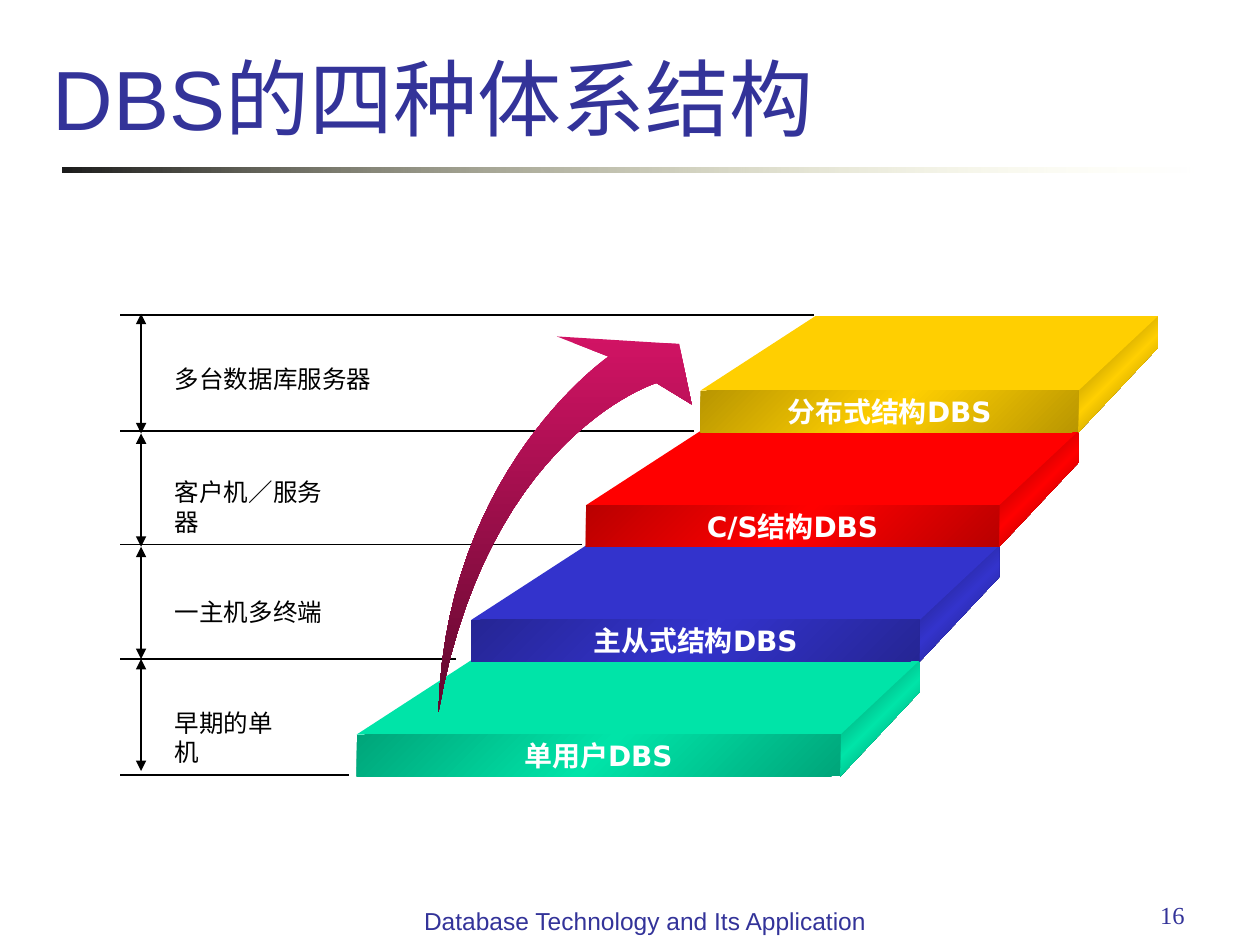
from lxml.etree import SubElement
from pptx import Presentation
from pptx.dml.color import RGBColor
from pptx.enum.shapes import MSO_CONNECTOR, MSO_SHAPE
from pptx.enum.text import MSO_ANCHOR, PP_ALIGN
from pptx.oxml.ns import qn
from pptx.util import Inches, Pt

NAVY = RGBColor(0x33, 0x33, 0x99)
BLACK = RGBColor(0, 0, 0)
WHITE = RGBColor(0xFF, 0xFF, 0xFF)
RULE_DARK = RGBColor(0x1C, 0x1C, 0x1C)
RULE_PALE = RGBColor(0xFF, 0xFF, 0xB7)
PINK = RGBColor(0xD1, 0x13, 0x64)
WINE = RGBColor(0x61, 0x09, 0x2E)

TITLE = "DBS的四种体系结构"
FOOTER = "Database Technology and Its Application"
PAGE_NUMBER = "16"

TIERS = [
    ("单用户DBS", RGBColor(0x00, 0xE4, 0xA8), RGBColor(0x00, 0xA5, 0x7A), RGBColor(0x00, 0x6A, 0x4E)),
    ("主从式结构DBS", RGBColor(0x33, 0x33, 0xCC), RGBColor(0x25, 0x25, 0x94), RGBColor(0x18, 0x18, 0x5E)),
    ("C/S结构DBS", RGBColor(0xFF, 0x00, 0x00), RGBColor(0xB9, 0x00, 0x00), RGBColor(0x76, 0x00, 0x00)),
    ("分布式结构DBS", RGBColor(0xFF, 0xCF, 0x01), RGBColor(0xB9, 0x96, 0x01), RGBColor(0x76, 0x60, 0x00)),
]
LEVELS = [
    ("多台数据库服务器", 2.84, 1.76),
    ("客户机／服务器", 3.74, 1.56),
    ("一主机多终端", 4.69, 1.37),
    ("早期的单机", 5.57, 1.17),
]
LEVEL_LINES = [(6.46, 2.5), (5.51, 3.42), (4.62, 4.32), (3.62, 5.23), (2.77, 6.15)]
SPAN_ENDS = [2.49, 3.44, 4.34, 5.23, 6.12]

FRONT_LEFT, FRONT_RIGHT, TOP = 2.83, 6.67, 5.24
LEFT_STEP, RIGHT_STEP, RISE = 0.91, 0.63, 0.91
FACE_DEPTH, FRONT_HEIGHT, SIDE_EDGE = 0.59, 0.33, 0.25

ARROW_TAIL = (3.48, 5.65)
ARROW_HEAD = [(4.83, 2.83), (4.42, 2.67), (5.39, 2.73), (5.49, 3.21), (5.21, 3.04)]
OUTER_BEND, INNER_BEND = (3.53, 3.73), (3.87, 3.45)
CURVE_STEPS = 28


def set_gradient(shape, stops, angle):
    shape.fill.gradient()
    gradient = shape.fill._xPr.find(qn("a:gradFill"))
    stop_list = gradient.find(qn("a:gsLst"))
    for old_stop in list(stop_list):
        stop_list.remove(old_stop)
    for position, color, opacity in stops:
        stop = SubElement(stop_list, qn("a:gs"), pos=str(position * 1000))
        color_node = SubElement(stop, qn("a:srgbClr"), val=str(color))
        if opacity < 100:
            SubElement(color_node, qn("a:alpha"), val=str(opacity * 1000))
    gradient.find(qn("a:lin")).set("ang", str(angle * 60000))


def set_sheen(shape, edge, middle):
    set_gradient(shape, [(0, edge, 100), (50, middle, 100), (100, edge, 100)], 45)


def add_rectangle(slide, left, top, width, height):
    shape = slide.shapes.add_shape(
        MSO_SHAPE.RECTANGLE, Inches(left), Inches(top), Inches(width), Inches(height))
    shape.shadow.inherit = False
    shape.line.fill.background()
    return shape


def add_polygon(slide, points):
    corners = [(Inches(x), Inches(y)) for x, y in points]
    builder = slide.shapes.build_freeform(*corners[0])
    builder.add_line_segments(corners[1:], close=True)
    shape = builder.convert_to_shape()
    shape.shadow.inherit = False
    shape.line.fill.background()
    return shape


def write_text(shape, text, size, font_name, color, alignment=PP_ALIGN.LEFT,
               anchor=MSO_ANCHOR.TOP, bold=False, wrap=True):
    frame = shape.text_frame
    frame.word_wrap = wrap
    frame.vertical_anchor = anchor
    paragraph = frame.paragraphs[0]
    paragraph.alignment = alignment
    run = paragraph.add_run()
    run.text = text
    run.font.size = Pt(size)
    run.font.name = font_name
    run.font.bold = bold
    run.font.color.rgb = color


def add_text(slide, box, *text_settings, **options):
    shape = slide.shapes.add_textbox(*[Inches(value) for value in box])
    write_text(shape, *text_settings, **options)


def add_line(slide, start, end, arrows=False):
    connector = slide.shapes.add_connector(
        MSO_CONNECTOR.STRAIGHT, *[Inches(value) for value in (*start, *end)])
    connector.line.color.rgb = BLACK
    connector.line.width = Pt(0.75)
    if arrows:
        line = connector.line._get_or_add_ln()
        for tag in ("a:headEnd", "a:tailEnd"):
            SubElement(line, qn(tag), type="triangle")
    SubElement(connector._element.spPr, qn("a:effectLst"))


def curve(start, bend, end):
    points = []
    for step in range(CURVE_STEPS + 1):
        t = step / CURVE_STEPS
        weights = ((1 - t) ** 3, 3 * t * (1 - t) ** 2, 3 * t ** 2 * (1 - t) + t ** 3)
        points.append(tuple(sum(w * p[axis] for w, p in zip(weights, (start, bend, end)))
                            for axis in (0, 1)))
    return points


def add_tier(slide, index, name, color, front_edge, side_edge):
    left = FRONT_LEFT + index * LEFT_STEP
    right = FRONT_RIGHT + index * RIGHT_STEP
    back = TOP - index * RISE
    front = back + FACE_DEPTH
    back_right = right + RIGHT_STEP

    side = add_polygon(slide, [
        (back_right, back + SIDE_EDGE), (right, front + FRONT_HEIGHT),
        (right, front), (back_right, back)])
    set_sheen(side, side_edge, color)

    face = add_polygon(slide, [
        (right, front), (left, front), (left + LEFT_STEP, back), (back_right, back)])
    face.fill.solid()
    face.fill.fore_color.rgb = color

    panel = add_rectangle(slide, left, front, right - left, FRONT_HEIGHT)
    set_sheen(panel, front_edge, color)
    write_text(panel, name, 16, "DejaVu Sans", WHITE, PP_ALIGN.CENTER,
               MSO_ANCHOR.MIDDLE, bold=True, wrap=False)


def main():
    presentation = Presentation()
    presentation.slide_width = Inches(10)
    presentation.slide_height = Inches(7.5)
    slide = presentation.slides.add_slide(presentation.slide_layouts[6])

    rule = add_rectangle(slide, 0.5, 1.33, 9, 0.04)
    set_gradient(rule, [(0, RULE_DARK, 100), (100, RULE_PALE, 0)], 0)
    add_text(slide, (0.32, 0.6, 9.25, 0.62), TITLE, 48, "Arial", NAVY,
             anchor=MSO_ANCHOR.BOTTOM)

    for end, y in LEVEL_LINES:
        add_line(slide, (end, y), (0.95, y))
    for start, end in zip(SPAN_ENDS, SPAN_ENDS[1:]):
        add_line(slide, (1.12, start), (1.12, end), arrows=True)
    for label, top, width in LEVELS:
        add_text(slide, (1.29, top, width, 0.34), label, 14, "DejaVu Sans", BLACK, wrap=False)

    for index, tier in enumerate(TIERS):
        add_tier(slide, index, *tier)

    outer = curve(ARROW_HEAD[0], ARROW_HEAD[0], ARROW_HEAD[0])[:0]
    outer = curve(ARROW_TAIL, OUTER_BEND, ARROW_HEAD[0])
    inner = curve(ARROW_TAIL, INNER_BEND, ARROW_HEAD[-1])
    arrow = add_polygon(slide, outer + ARROW_HEAD[1:-1] + inner[:0:-1])
    set_gradient(arrow, [(0, PINK, 100), (100, WINE, 100)], 90)

    add_text(slide, (7.17, 7.09, 2.33, 0.52), PAGE_NUMBER, 14, "Times New Roman", NAVY,
             alignment=PP_ALIGN.RIGHT)
    add_text(slide, (3.19, 7.14, 3.86, 0.52), FOOTER, 14, "Arial", NAVY,
             alignment=PP_ALIGN.CENTER)
    presentation.save("out.pptx")


if __name__ == "__main__":
    main()
